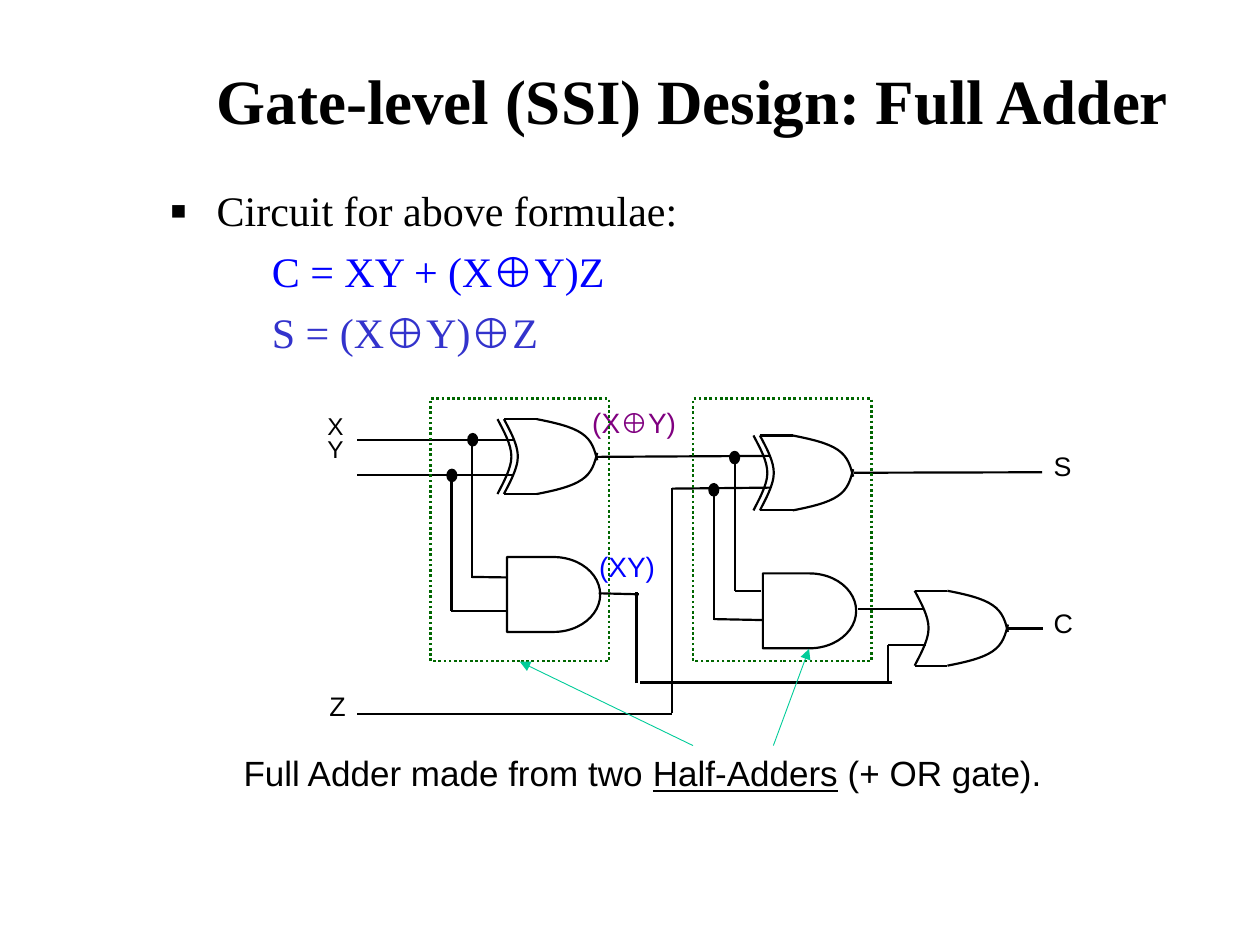
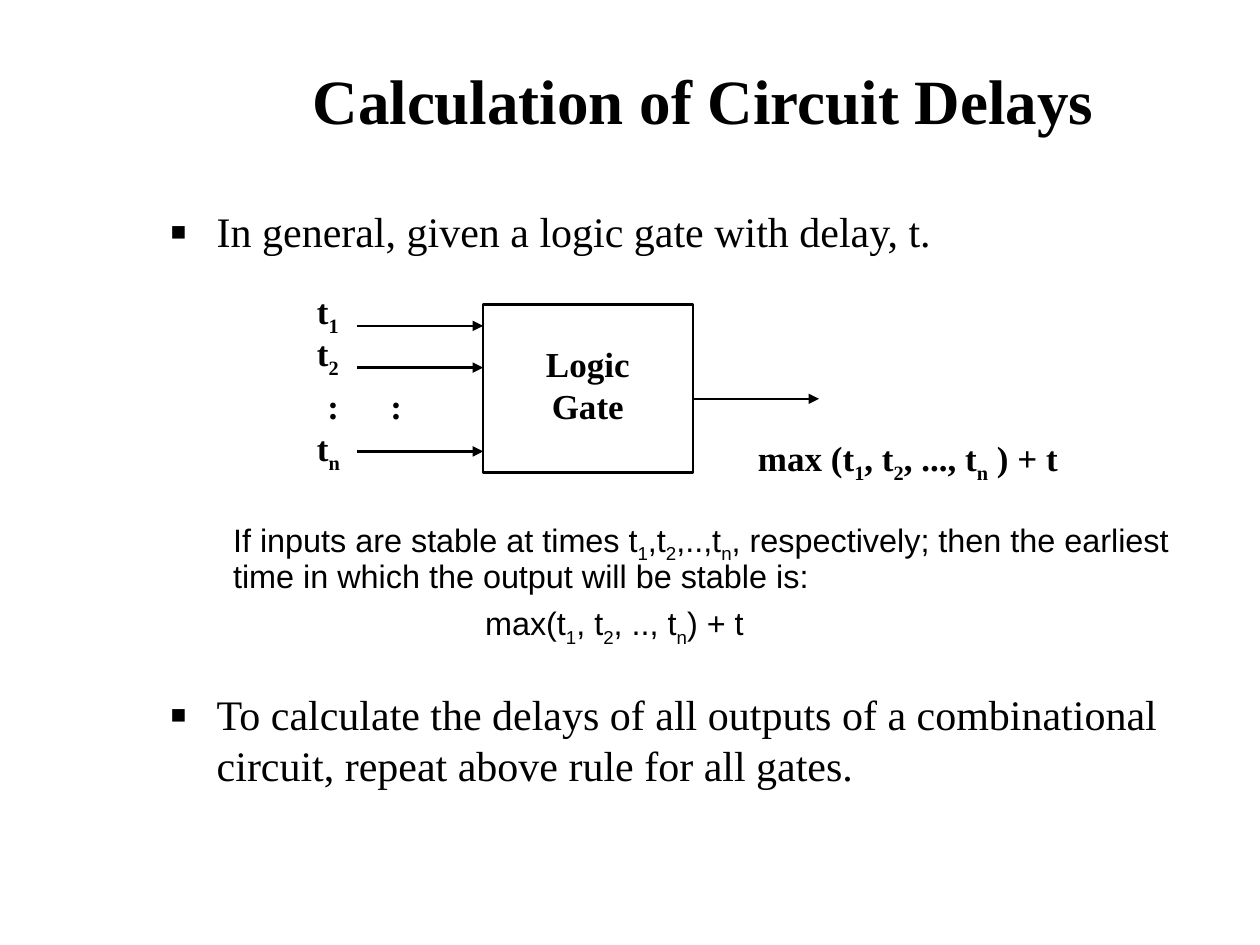
from dataclasses import dataclass

from lxml import etree
from pptx import Presentation
from pptx.dml.color import RGBColor
from pptx.enum.dml import MSO_LINE
from pptx.enum.shapes import MSO_CONNECTOR, MSO_SHAPE
from pptx.enum.text import MSO_ANCHOR, PP_ALIGN
from pptx.oxml.ns import qn
from pptx.util import Cm, Pt

STRAIGHT = MSO_CONNECTOR.STRAIGHT
RECT, OVAL, DELAY = MSO_SHAPE.RECTANGLE, MSO_SHAPE.OVAL, MSO_SHAPE.FLOWCHART_DELAY
DOTTED = MSO_LINE.ROUND_DOT
LEFT, CENTER = PP_ALIGN.LEFT, PP_ALIGN.CENTER
TOP, MIDDLE = MSO_ANCHOR.TOP, MSO_ANCHOR.MIDDLE


@dataclass(frozen=True)
class Theme:
    """Fonts, colours, type sizes and line widths of the deck."""
    serif: str = "Times New Roman"
    sans: str = "Arial"
    ink: str = "000000"
    carry: str = "0000FF"
    total: str = "3333CC"
    purple: str = "800080"
    half_adder: str = "006600"
    pointer: str = "00CC99"
    title: float = 36
    body: float = 24
    caption: float = 20
    note: float = 18.5
    signal: float = 16
    pin: float = 15.3
    input_pin: float = 13.9
    wire: float = 1.25
    frame: float = 1.5
    thin: float = 0.5


T = Theme()
GATE_HEIGHT = 1.51
GATE_EDGE = 0.66
GATE_BACK = [(0, 0), (0.13, 0.25), (0.28, 0.51), (0.28, 0.76),
             (0.28, 1.02), (0.05, 1.4), (0, GATE_HEIGHT)]
GATE_UPPER = [(GATE_EDGE, 0), (1.02, 0.07), (1.37, 0.15), (1.57, 0.29),
              (1.78, 0.43), (1.83, 0.63), (1.88, 0.83)]
GATE_LOWER = [(x, GATE_HEIGHT - y) for x, y in GATE_UPPER]


def rgb(value):
    """Turn a hex string into a colour."""
    return RGBColor.from_string(value)


def subscripts(text):
    """Split text into runs, lowering the character after each underscore."""
    first, *rest = text.split("_")
    runs = [(first, {})]
    for part in rest:
        runs += [(part[0], {"sub": True}), (part[1:], {})]
    return [run for run in runs if run[0]]


def formula(text):
    """Split text into runs, setting each ⊕ in the sans font."""
    runs = []
    for i, part in enumerate(text.split("⊕")):
        if i:
            runs.append(("⊕", {"font": T.sans}))
        runs.append((part, {}))
    return runs


def add_run(p, text, font=T.serif, size=T.body, color=T.ink, bold=False,
            underline=False, sub=False):
    """Add one formatted run to a paragraph."""
    r = p.add_run()
    r.text = text
    f = r.font
    f.name, f.size, f.bold, f.underline = font, Pt(size), bold, underline
    f.color.rgb = rgb(color)
    if sub:
        r._r.get_or_add_rPr().set("baseline", "-25000")


def add_bullet(p):
    """Give a paragraph a square bullet with a hanging indent."""
    pPr = p._p.get_or_add_pPr()
    pPr.set("marL", str(Cm(0.95)))
    pPr.set("indent", str(-Cm(0.95)))
    color = etree.SubElement(pPr, qn("a:buClr"))
    etree.SubElement(color, qn("a:srgbClr")).set("val", T.ink)
    etree.SubElement(pPr, qn("a:buSzPct")).set("val", "120000")
    etree.SubElement(pPr, qn("a:buFont")).set("typeface", T.sans)
    etree.SubElement(pPr, qn("a:buChar")).set("char", "▪")


def add_paragraph(tf, runs, first=False, bullet=False, indent=0, before=0,
                  spacing=None, align=LEFT, **fmt):
    """Add a paragraph given as a string or as (text, format) runs."""
    p = tf.paragraphs[0] if first else tf.add_paragraph()
    if bullet:
        add_bullet(p)
    elif indent:
        p._p.get_or_add_pPr().set("marL", str(Cm(indent)))
    p.alignment = align
    p.space_before = Pt(0 if first else before)
    if spacing:
        p.line_spacing = spacing
    for text, extra in [(runs, {})] if isinstance(runs, str) else runs:
        add_run(p, text, **{**fmt, **extra})


def add_text(s, box, runs, anchor=TOP, **fmt):
    """Add a text box with its first paragraph and return its frame."""
    tf = s.shapes.add_textbox(*map(Cm, box)).text_frame
    tf.word_wrap = True
    tf.vertical_anchor = anchor
    add_paragraph(tf, runs, first=True, **fmt)
    return tf


def add_title(s, left, text):
    """Add the slide title."""
    add_text(s, (left, 0.42, 21.59, 3.17), text, anchor=MIDDLE,
             align=CENTER, size=T.title, bold=True)


def style_outline(sp, color=T.ink, width=T.wire, fill=None, dash=None):
    """Set outline and fill, without shadow."""
    sp.shadow.inherit = False
    sp.line.color.rgb = rgb(color)
    sp.line.width = Pt(width)
    if dash:
        sp.line.dash_style = dash
    if fill:
        sp.fill.solid()
        sp.fill.fore_color.rgb = rgb(fill)
    else:
        sp.fill.background()


def add_outline(s, kind, box, **fmt):
    """Add a preset shape."""
    style_outline(s.shapes.add_shape(kind, *map(Cm, box)), **fmt)


def add_line(s, x1, y1, x2, y2, color=T.ink, width=T.wire, arrow=False):
    """Add a straight line, with an arrowhead at its end if asked."""
    c = s.shapes.add_connector(STRAIGHT, Cm(x1), Cm(y1), Cm(x2), Cm(y2))
    c.line.color.rgb = rgb(color)
    c.line.width = Pt(width)
    if arrow:
        etree.SubElement(c.line._get_or_add_ln(), qn("a:tailEnd")).set("type", "triangle")
    etree.SubElement(c._element.spPr, qn("a:effectLst"))


def add_curve(s, x, y, points):
    """Draw a chain of cubic curves through points relative to x, y."""
    corners = [(Cm(x + dx), Cm(y + dy)) for dx, dy in points]
    builder = s.shapes.build_freeform(*corners[0])
    builder.add_line_segments(corners[1:], close=False)
    sp = builder.convert_to_shape()
    segments = list(sp._element.iter(qn("a:lnTo")))
    outline = segments[0].getparent()
    for i in range(0, len(segments), 3):
        cubic = etree.SubElement(outline, qn("a:cubicBezTo"))
        for segment in segments[i:i + 3]:
            cubic.append(segment[0])
            outline.remove(segment)
    style_outline(sp)


def add_or_gate(s, x, y, exclusive=False):
    """Draw an OR gate, or an XOR gate with its second back curve."""
    for curve in (GATE_BACK, GATE_UPPER, GATE_LOWER):
        add_curve(s, x, y, curve)
    for edge in (y, y + GATE_HEIGHT):
        add_line(s, x, edge, x + GATE_EDGE, edge)
    if exclusive:
        add_curve(s, x - 0.13, y, GATE_BACK)


def add_and_gate(s, x, y):
    """Draw an AND gate."""
    add_outline(s, DELAY, (x, y, 1.88, GATE_HEIGHT))


def add_junction(s, x, y):
    """Draw a dot where wires join."""
    add_outline(s, OVAL, (x - 0.09, y - 0.11, 0.18, 0.23), fill=T.ink)


def add_circuit(s):
    """Draw the full adder with its gates, wires and pins."""
    wires = [
        (7.2, 8.87, 10.36, 8.87), (7.2, 9.57, 10.36, 9.57),
        (9.52, 8.89, 9.52, 11.66), (9.52, 11.63, 10.21, 11.64),
        (9.1, 9.58, 9.1, 12.32), (9.1, 12.32, 10.21, 12.32),
        (12.01, 9.21, 15.52, 9.19), (12.07, 11.96, 12.88, 11.98),
        (12.83, 13.77, 12.83, 11.94), (12.91, 13.76, 17.99, 13.76),
        (17.9, 13.76, 17.9, 13.01), (17.9, 13.01, 18.67, 13.01),
        (7.2, 14.39, 13.55, 14.39), (13.55, 9.83, 13.55, 14.38),
        (13.55, 9.85, 15.52, 9.83), (14.82, 9.14, 14.82, 11.91),
        (14.82, 11.91, 15.34, 11.91), (14.39, 9.73, 14.39, 12.49),
        (14.39, 12.48, 15.39, 12.5), (17.22, 9.53, 21.01, 9.52),
        (17.3, 12.27, 18.62, 12.27), (20.27, 12.67, 21.03, 12.67),
    ]
    for wire in wires:
        add_line(s, *wire)
    for x, y in ((9.11, 9.58), (9.53, 8.86), (14.39, 9.87), (14.81, 9.22)):
        add_junction(s, x, y)
    add_or_gate(s, 10.16, 8.45, exclusive=True)
    add_or_gate(s, 15.32, 8.78, exclusive=True)
    add_or_gate(s, 18.44, 11.91)
    add_and_gate(s, 10.22, 11.23)
    add_and_gate(s, 15.38, 11.56)

    inputs = dict(font=T.sans, size=T.input_pin, spacing=0.8)
    tf = add_text(s, (6.35, 8.27, 1.07, 1.52), "X", **inputs)
    add_paragraph(tf, "Y", **inputs)
    for x, y, name in ((20.99, 9.02, "S"), (20.99, 12.18, "C"), (6.39, 13.85, "Z")):
        add_text(s, (x, y, 1.07, 0.97), name, font=T.sans, size=T.pin, spacing=0.9)


def add_full_adder_slide(prs):
    """Build the slide on the full adder."""
    s = prs.slides.add_slide(prs.slide_layouts[6])
    add_title(s, 3.17, "Gate-level (SSI) Design: Full Adder")
    tf = add_text(s, (3.17, 3.6, 21.16, 3.81), "Circuit for above formulae:", bullet=True)
    for text, color in (("C = XY + (X⊕Y)Z", T.carry), ("S = (X⊕Y)⊕Z", T.total)):
        add_paragraph(tf, formula(text), indent=2.06, before=6, color=color)
    add_text(s, (4.66, 15.03, 16.93, 1.47),
             [("Full Adder made from two ", {}), ("Half-Adders", {"underline": True}),
              (" (+ OR gate).", {})], font=T.sans, size=T.caption)
    add_circuit(s)
    signal = dict(font=T.sans, size=T.signal)
    add_text(s, (11.69, 8.05, 2.29, 0.97), "(X⊕Y)", color=T.purple, **signal)
    add_text(s, (11.83, 10.95, 1.75, 0.97), "(XY)", color=T.carry, **signal)
    for x in (8.68, 13.97):
        add_outline(s, RECT, (x, 8.04, 3.6, 5.29), color=T.half_adder,
                    width=T.frame, dash=DOTTED)
    for ends in ((13.97, 15.03, 10.48, 13.34), (15.59, 15.03, 16.31, 13.08)):
        add_line(s, *ends, color=T.pointer, width=T.thin, arrow=True)


def add_delay_diagram(s):
    """Draw the logic gate with its timed inputs and output."""
    label = dict(size=T.caption, bold=True)
    add_outline(s, RECT, (9.74, 6.14, 4.23, 3.39), width=T.frame)
    tf = add_text(s, (10.58, 6.77, 2.54, 1.96), "Logic", align=CENTER, **label)
    add_paragraph(tf, "Gate", align=CENTER, **label)
    for name, top, y in (("t_1", 5.71, 6.57), ("t_2", 6.56, 7.41), ("t_n", 8.47, 9.1)):
        add_text(s, (6.14, top, 1.07, 1.22), subscripts(name), **label)
        add_line(s, 7.2, y, 9.74, y, arrow=True)
    for x in (6.35, 7.62):
        add_text(s, (x, 7.62, 1.07, 1.12), ":", **label)
    add_line(s, 13.97, 8.04, 16.51, 8.04, arrow=True)
    add_text(s, (15.03, 8.68, 7.41, 1.22), subscripts("max (t_1, t_2, ..., t_n ) + t"), **label)


def add_delay_slide(prs):
    """Build the slide on circuit delays."""
    s = prs.slides.add_slide(prs.slide_layouts[6])
    add_title(s, 3.38, "Calculation of Circuit Delays")
    add_text(s, (3.17, 4.02, 21.59, 1.69),
             "In general, given a logic gate with delay, t.", bullet=True)
    add_delay_diagram(s)
    note = dict(font=T.sans, size=T.note, spacing=0.9)
    tf = add_text(s, (4.45, 10.37, 19.47, 3.18), subscripts(
        "If inputs are stable at times t_1,t_2,..,t_n, respectively; "
        "then the earliest time in which the output will be stable is:"), **note)
    add_paragraph(tf, subscripts("max(t_1, t_2, .., t_n) + t"), indent=5.08, before=5, **note)
    add_text(s, (3.17, 13.76, 21.59, 2.54),
             "To calculate the delays of all outputs of a combinational circuit, "
             "repeat above rule for all gates.", bullet=True)


def main():
    """Build the deck and save it."""
    prs = Presentation()
    prs.slide_width, prs.slide_height = Cm(25.4), Cm(19.05)
    add_full_adder_slide(prs)
    add_delay_slide(prs)
    prs.save("out.pptx")


if __name__ == "__main__":
    main()
